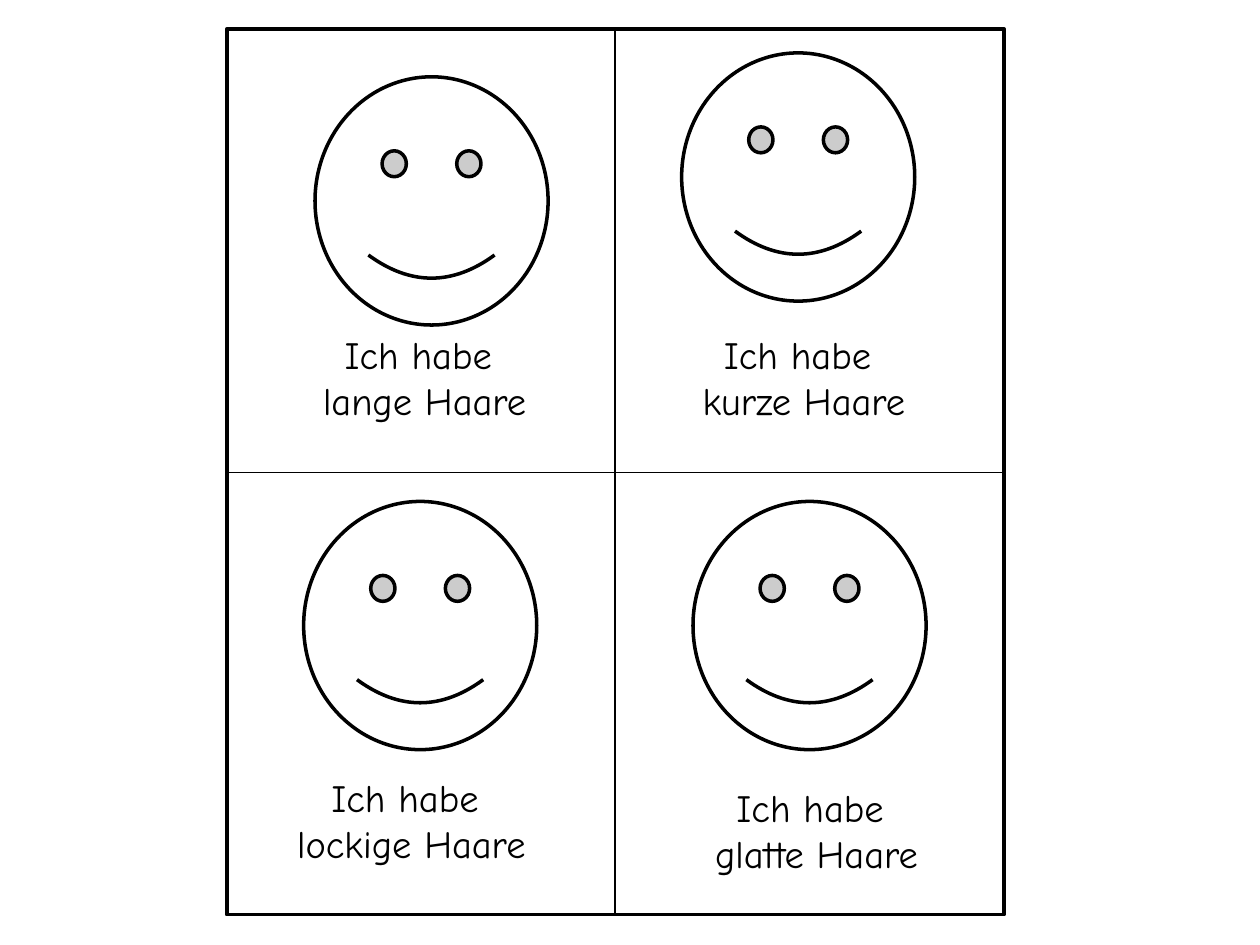
from typing import NamedTuple

from lxml import etree
from pptx import Presentation
from pptx import util as u
from pptx.dml.color import RGBColor
from pptx.enum import shapes as sh, text as tx
from pptx.oxml.ns import qn

HEX = {"ink": "000000", "paper": "FFFFFF"}
FONT = "Comic Neue"
FACE_W, FACE_H = 133.2, 141.84
TEXT_H = 60.48


class Card(NamedTuple):
    hair: str
    face: tuple[float, float]
    label: tuple[float, float]
    width: float = 131.04


CARDS = [
    Card("lange Haare", (180, 43.92), (177.12, 185.76)),
    Card("glatte Haare", (396, 286.56), (401.04, 444.24)),
    Card("lockige Haare", (173.52, 286.56), (162.72, 438.48), 144.72),
    Card("kurze Haare", (389.52, 30.24), (393.84, 185.76)),
]


def tint(name: str) -> RGBColor:
    return RGBColor.from_string(HEX[name])


def draw_shape(slide, kind, *box: float):
    """Add a white shape with a black outline."""
    shape = slide.shapes.add_shape(kind, *map(u.Pt, box))
    shape.shadow.inherit = False
    shape.fill.solid()
    shape.fill.fore_color.rgb = tint("paper")
    shape.line.color.rgb = tint("ink")
    shape.line.width = u.Pt(2)
    return shape


def draw_line(slide, *ends: float) -> None:
    """Add a thin black divider."""
    line = slide.shapes.add_connector(sh.MSO_CONNECTOR.STRAIGHT, *map(u.Pt, ends))
    line.line.color.rgb = tint("ink")
    line.line.width = u.Pt(0.75)
    etree.SubElement(line._element.spPr, qn("a:effectLst"))


def draw_label(slide, card: Card) -> None:
    """Add the two-line sentence of a card."""
    box = slide.shapes.add_textbox(*map(u.Pt, (*card.label, card.width, TEXT_H)))
    frame = box.text_frame
    frame.word_wrap = False
    frame.auto_size = tx.MSO_AUTO_SIZE.SHAPE_TO_FIT_TEXT
    for i, words in enumerate(("Ich habe ", card.hair)):
        para = frame.add_paragraph() if i else frame.paragraphs[0]
        para.alignment = tx.PP_ALIGN.CENTER
        run = para.add_run()
        run.text = words
        run.font.name = FONT
        run.font.size = u.Pt(22)
        run.font.color.rgb = tint("ink")


def main() -> None:
    deck = Presentation()
    deck.slide_width, deck.slide_height = u.Pt(720), u.Pt(540)
    slide = deck.slides.add_slide(deck.slide_layouts[6])

    # Frame and dividers
    draw_shape(slide, sh.MSO_SHAPE.RECTANGLE, 129.6, 16.56, 444.24, 506.16)
    draw_line(slide, 351.36, 17.28, 351.36, 523.44)
    draw_line(slide, 129.6, 270, 573.84, 270)

    # Sentences
    for card in CARDS:
        draw_label(slide, card)

    # Faces
    for card in CARDS:
        face = draw_shape(slide, sh.MSO_SHAPE.SMILEY_FACE, *card.face, FACE_W, FACE_H)
        face.adjustments[0] = 0.09

    deck.save("out.pptx")


if __name__ == "__main__":
    main()
